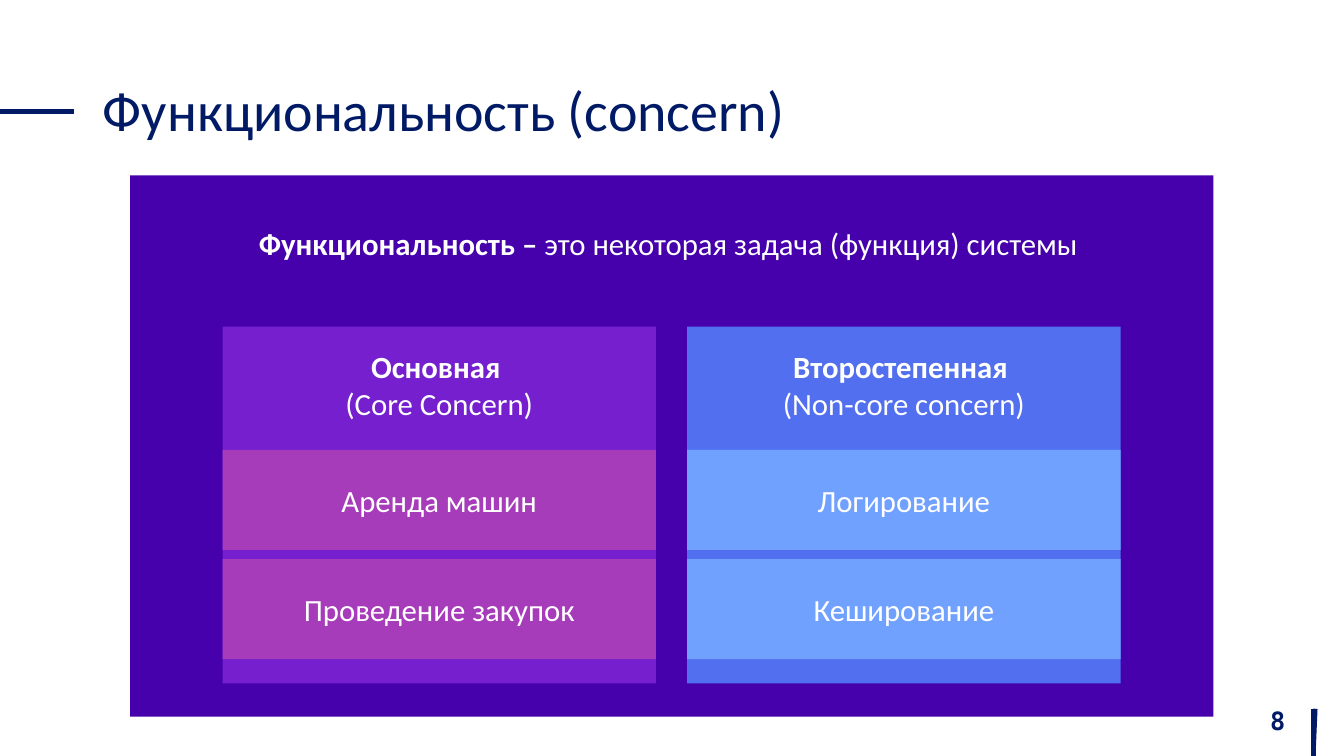
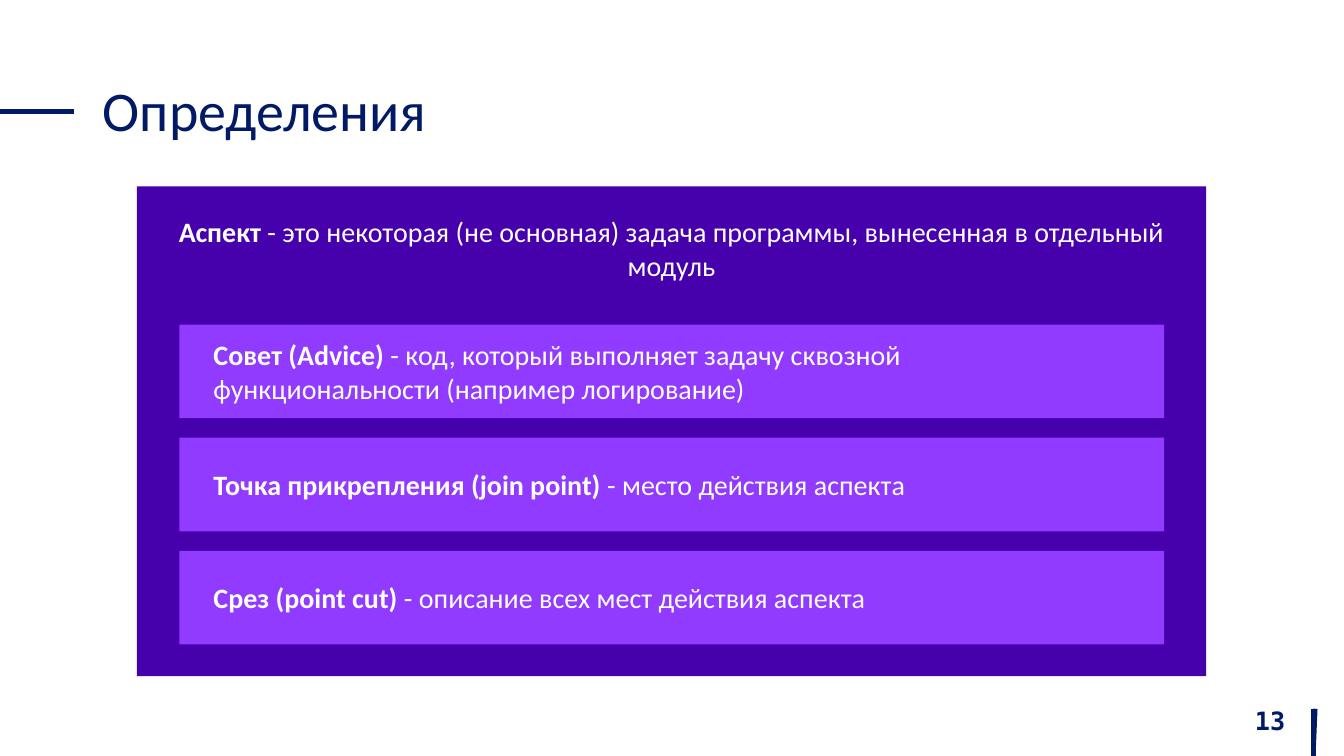
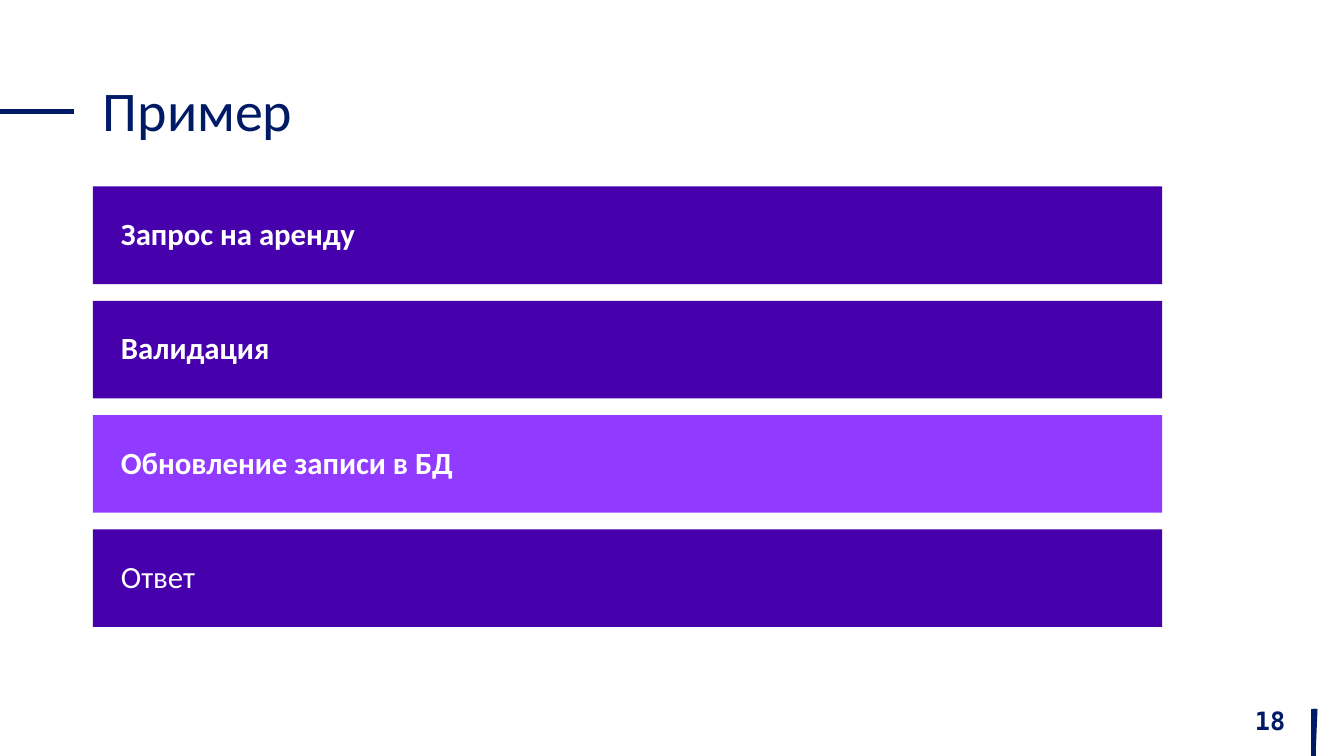
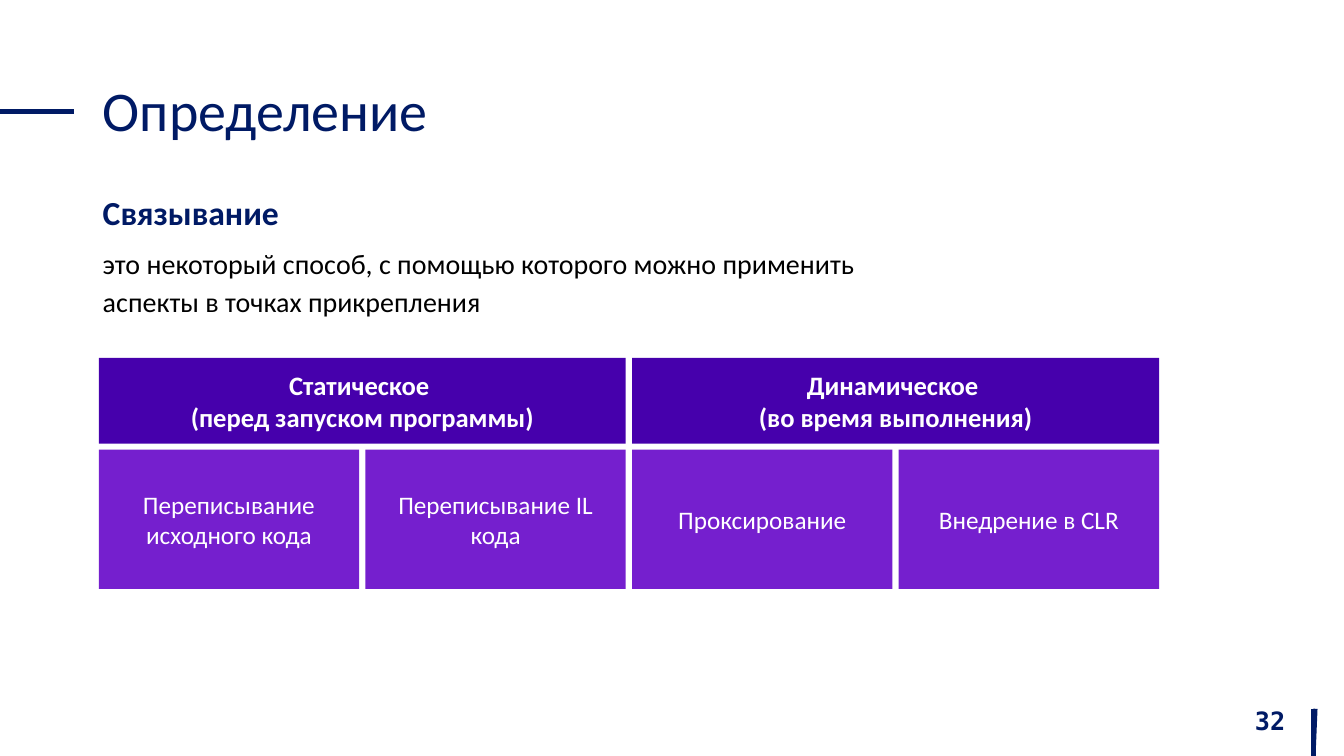
from lxml import etree
from pptx import Presentation
from pptx.dml.color import RGBColor
from pptx.enum.shapes import MSO_CONNECTOR, MSO_SHAPE
from pptx.enum.text import MSO_ANCHOR, MSO_AUTO_SIZE, PP_ALIGN
from pptx.oxml.ns import qn
from pptx.util import Cm, Pt

RECTANGLE, STRAIGHT = MSO_SHAPE.RECTANGLE, MSO_CONNECTOR.STRAIGHT
TOP, MIDDLE = MSO_ANCHOR.TOP, MSO_ANCHOR.MIDDLE
LEFT, CENTER, RIGHT = PP_ALIGN.LEFT, PP_ALIGN.CENTER, PP_ALIGN.RIGHT
NO_FIT = MSO_AUTO_SIZE.NONE

NAVY, WHITE, BLACK = "001A65", "FFFFFF", "000000"
INDIGO, PURPLE, VIOLET = "4600AC", "751FCE", "903BFF"
MAGENTA, BLUE, SKY = "A63CBA", "516FEF", "71A1FF"

# Content: a text is a list of paragraphs, a paragraph a list of (words, bold)
CONCERN = [[("Функциональность –", True),
            (" это некоторая задача (функция) системы ", False)]]
CONCERN_KINDS = [
    ([[("Основная ", True)], [("(Core Concern)", False)]],
     PURPLE, MAGENTA, ["Аренда машин", "Проведение закупок"]),
    ([[("Второстепенная ", True)], [("(Non-core concern)", False)]],
     BLUE, SKY, ["Логирование", "Кеширование"]),
]
ASPECT = [[("Аспект", True),
           (" - это некоторая (не основная) задача программы, вынесенная в отдельный модуль", False)]]
TERMS = [
    [[("Совет (Advice) ", True), ("- код, который выполняет задачу сквозной", False)],
     [("функциональности (например логирование)", False)]],
    [[("Точка прикрепления (join point) ", True), ("- место действия аспекта", False)]],
    [[("Срез (point cut)", True), (" - описание всех мест действия аспекта", False)]],
]
STEPS = [("Запрос на аренду", True, INDIGO), ("Валидация", True, INDIGO),
         ("Обновление записи в БД", True, VIOLET), ("Ответ", False, INDIGO)]
WEAVING = "это некоторый способ, с помощью которого можно применить аспекты в точках прикрепления"
WEAVING_KINDS = [("Статическое ", "(перед запуском программы)"),
                 ("Динамическое ", "(во время выполнения)")]
WEAVING_WAYS = ["Переписывание исходного кода", "Переписывание IL кода",
                "Проксирование", "Внедрение в CLR"]


def colour(value):
    return RGBColor.from_string(value)


def plain(words, bold=False):
    return [[(words, bold)]]


def write(frame, text, size, ink=WHITE, align=CENTER, font="Calibri", spacing=None):
    for number, spans in enumerate(text):
        para = frame.add_paragraph() if number else frame.paragraphs[0]
        para.alignment = align
        if spacing:
            para.line_spacing = spacing
        for words, bold in spans:
            span = para.add_run()
            span.text = words
            span.font.color.rgb = colour(ink)
            for name, value in {"name": font, "size": Pt(size), "bold": bold}.items():
                setattr(span.font, name, value)


def add_box(page, place, fill, text, size, inset=0.71, indent=0, anchor=MIDDLE, align=CENTER):
    box = page.shapes.add_shape(RECTANGLE, *map(Cm, place))
    box.shadow.inherit = False
    box.fill.solid()
    box.fill.fore_color.rgb = colour(fill)
    box.line.fill.background()
    frame = box.text_frame
    settings = {"word_wrap": True, "vertical_anchor": anchor,
                "margin_left": Cm(inset + indent), "margin_right": Cm(inset),
                "margin_top": Cm(inset), "margin_bottom": Cm(inset)}
    for name, value in settings.items():
        setattr(frame, name, value)
    write(frame, text, size, align=align)


def add_text(page, place, text, size, anchor=TOP, **style):
    frame = page.shapes.add_textbox(*map(Cm, place)).text_frame
    frame.word_wrap = True
    frame.vertical_anchor = anchor
    write(frame, text, size, **style)


def add_line(page, *ends):
    line = page.shapes.add_connector(STRAIGHT, *map(Cm, ends))
    line.line.color.rgb = colour(NAVY)
    line.line.width = Pt(3)
    etree.SubElement(line.element.spPr, qn("a:effectLst"))
    return line


def add_corner_mark(deck, page):
    """Draw the corner strokes once and hand them to the slide master."""
    tree = deck.slide_master.shapes.element
    for number, top_x in enumerate((33.15, 33.1)):
        stroke = add_line(page, top_x, 17.86, 33.1, 19.05).element
        stroke.xpath(".//p:cNvPr")[0].set("id", str(100 + number))
        tree.append(stroke)


def add_page(deck, heading, number):
    page = deck.slides.add_slide(deck.slide_layouts[5])
    title = page.shapes.title
    place = {"left": 2.34, "top": 1.02, "width": 29.21, "height": 3.68}
    for name, value in place.items():
        setattr(title, name, Cm(value))
    title.text_frame.auto_size = NO_FIT
    title.text_frame.vertical_anchor = MIDDLE
    write(title.text_frame, plain(heading), 40, NAVY, LEFT, spacing=0.9)
    add_text(page, (25.02, 17.65, 7.62, 1.02), plain(str(number), True), 18, MIDDLE,
             ink=NAVY, align=RIGHT, font="DejaVu Sans Mono")
    add_line(page, 0, 2.81, 1.86, 2.81)
    return page


def build_concern(page):
    add_box(page, (3.28, 4.42, 27.3, 13.64), INDIGO, CONCERN, 22, 1.24, anchor=TOP)
    width = 10.92
    for column, (heading, fill, row_fill, examples) in enumerate(CONCERN_KINDS):
        left = 5.61 + column * 11.71
        add_box(page, (left, 8.23, width, 8.99), fill, heading, 22, 0.53, anchor=TOP)
        for row, example in enumerate(examples):
            add_box(page, (left, 11.34 + row * 2.75, width, 2.52), row_fill,
                    plain(example), 22, 0.53)


def build_terms(page):
    add_box(page, (3.45, 4.7, 26.95, 12.34), INDIGO, ASPECT, 20, anchor=TOP)
    for row, term in enumerate(TERMS):
        add_box(page, (4.52, 8.18 + row * 2.85, 24.82, 2.36), VIOLET, term, 20,
                0.15, indent=0.71, align=LEFT)


def build_steps(page):
    for row, (step, bold, fill) in enumerate(STEPS):
        add_box(page, (2.34, 4.7 + row * 2.88, 26.95, 2.46), fill, plain(step, bold), 22,
                anchor=TOP, align=LEFT)


def build_weaving(page):
    add_text(page, (2.34, 5.97, 21.77, 3.68), plain(WEAVING), 20,
             ink=BLACK, align=LEFT, spacing=1.14)
    add_text(page, (2.34, 4.7, 19.41, 1.27), plain("Связывание", True), 24,
             ink=NAVY, align=LEFT)
    # Both rows span the same width
    left, width, gap = 2.49, 26.72, 0.16
    headings = [[[(line, True)] for line in lines] for lines in WEAVING_KINDS]
    ways = [plain(way) for way in WEAVING_WAYS]
    rows = [(headings, 9.02, 2.16, INDIGO, 19), (ways, 11.33, 3.51, PURPLE, 18)]
    for cells, top, height, fill, size in rows:
        cell_width = (width - gap * (len(cells) - 1)) / len(cells)
        for column, text in enumerate(cells):
            add_box(page, (left + column * (cell_width + gap), top, cell_width, height),
                    fill, text, size)


PAGES = [("Функциональность (concern)", 8, build_concern),
         ("Определения", 13, build_terms),
         ("Пример", 18, build_steps),
         ("Определение", 32, build_weaving)]


def main():
    deck = Presentation()
    deck.slide_width, deck.slide_height = Cm(33.87), Cm(19.05)
    for heading, number, build in PAGES:
        page = add_page(deck, heading, number)
        build(page)
    add_corner_mark(deck, page)
    deck.save("out.pptx")


if __name__ == "__main__":
    main()
